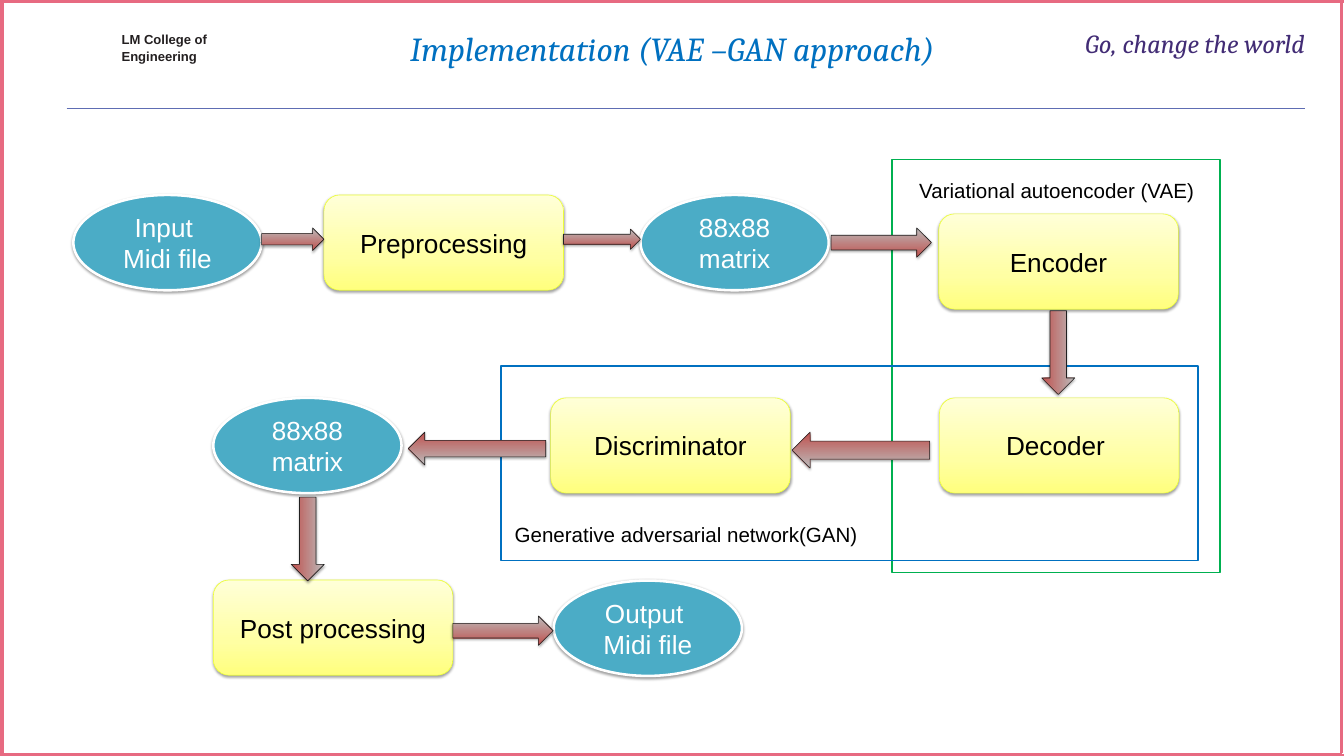
from dataclasses import dataclass

from lxml import etree
from pptx import Presentation
from pptx import util as u
from pptx.dml.color import RGBColor
from pptx.enum import shapes, text
from pptx.oxml import ns
from pptx.shapes.autoshape import Shape
from pptx.slide import Slide

# Colours
PINK = RGBColor(0xE7, 0x6A, 0x81)
BLUE = RGBColor(0x00, 0x70, 0xC0)
GREEN = RGBColor(0x00, 0xB0, 0x50)
INDIGO = RGBColor(0x5E, 0x6D, 0xB3)
PURPLE = RGBColor(0x42, 0x2C, 0x75)
CHARCOAL = RGBColor(0x23, 0x1F, 0x20)
TEAL = RGBColor(0x4B, 0xAC, 0xC6)
LIME = RGBColor(0xEB, 0xFD, 0x3A)
DARK = RGBColor(0x20, 0x20, 0x20)
BLACK = RGBColor(0, 0, 0)
WHITE = RGBColor(0xFF, 0xFF, 0xFF)
YELLOW_STOPS = ((0, RGBColor(0xFF, 0xFF, 0x7D)), (35, RGBColor(0xFF, 0xFF, 0xA3)),
                (100, RGBColor(0xFF, 0xFF, 0xD8)))
RED_STOPS = ((0, RGBColor(0xC0, 0x50, 0x4D)), (100, RGBColor(0xBB, 0xBB, 0xBB)))

OVAL = shapes.MSO_SHAPE.OVAL
BOX = shapes.MSO_SHAPE.ROUNDED_RECTANGLE
NODE_SIZE = {OVAL: (3.08, 1.56), BOX: (3.92, 1.56)}
NODE_INSETS = (0.22, 0.11, 0.22, 0.11)
LEFT, CENTER, RIGHT = text.PP_ALIGN.LEFT, text.PP_ALIGN.CENTER, text.PP_ALIGN.RIGHT


@dataclass
class Node:
    kind: shapes.MSO_SHAPE
    left: float
    top: float
    label: str


@dataclass
class Arrow:
    left: float
    top: float
    width: float
    height: float
    rotation: int = 0


@dataclass
class Frame:
    left: float
    top: float
    width: float
    height: float
    color: RGBColor


@dataclass
class Rule:
    start: tuple[float, float]
    end: tuple[float, float]
    color: RGBColor
    weight: float


@dataclass
class Label:
    box: tuple[float, float, float, float]
    words: str
    font: dict
    align: text.PP_ALIGN = LEFT
    insets: tuple[float, float, float, float] = (0, 0, 0, 0)
    spacing: float = 1.0


RULES = [
    Rule((0, 12.35), (21.99, 12.35), PINK, 1.8),
    Rule((0, 12.33), (21.95, 12.33), PINK, 1.8),
    Rule((0.03, 0.05), (0.03, 12.32), PINK, 4.43),
    Rule((0, 0.03), (21.99, 0.03), PINK, 3.7),
    Rule((21.95, 0.05), (21.95, 12.32), PINK, 4.42),
    Rule((1.09, 1.77), (21.36, 1.77), INDIGO, 1.25),
]
HEADINGS = [
    Label((0.64, 0.45, 20.72, 0.67), "Implementation (VAE –GAN approach)",
          {"name": "Cambria", "size": u.Pt(39.6), "italic": True, "color": BLUE}, CENTER),
    Label((1.99, 0.48, 1.5, 0.54), "LM College of\nEngineering",
          {"name": "Arial", "size": u.Pt(15.4), "bold": True, "color": CHARCOAL},
          insets=(0, 0.02, 0, 0), spacing=1.06),
    Label((17.33, 0.45, 4.02, 0.5), "Go, change the world",
          {"name": "Cambria", "size": u.Pt(30.8), "italic": True, "color": PURPLE}, RIGHT),
]
NODES = [
    Node(OVAL, 1.2, 3.19, "Input \nMidi file"),
    Node(BOX, 5.3, 3.19, "Preprocessing"),
    Node(OVAL, 10.48, 3.19, "88x88 matrix"),
    Node(BOX, 15.36, 3.5, "Encoder"),
    Node(BOX, 15.37, 6.51, "Decoder "),
    Node(BOX, 9.01, 6.51, "Discriminator"),
    Node(OVAL, 3.49, 6.51, "88x88 matrix"),
    Node(BOX, 3.49, 9.49, "Post processing"),
    Node(OVAL, 9.06, 9.5, "Output \nMidi file"),
]
FRAMES = [Frame(14.59, 2.61, 5.37, 6.76, GREEN), Frame(8.2, 5.99, 11.4, 3.18, BLUE)]
FRAME_FONT = {"name": "Arial", "size": u.Pt(24.2), "color": BLACK}
FRAME_LABELS = [
    Label((14.82, 2.81, 5, 0.63), "Variational autoencoder (VAE)", FRAME_FONT, insets=NODE_INSETS),
    Label((8.2, 8.43, 6.38, 0.63), "Generative adversarial network(GAN)", FRAME_FONT,
          insets=NODE_INSETS),
]
ARROWS = [
    Arrow(4.28, 3.73, 1.02, 0.37),
    Arrow(9.22, 3.75, 1.26, 0.33),
    Arrow(13.6, 3.73, 1.64, 0.48),
    Arrow(16.63, 5.5, 1.37, 0.54, 90),
    Arrow(12.96, 7.07, 2.25, 0.59, 180),
    Arrow(6.68, 7.07, 2.25, 0.54, 180),
    Arrow(4.35, 8.55, 1.37, 0.54, 90),
    Arrow(7.41, 10.08, 1.64, 0.48),
]


def write_text(shape: Shape, words: str, font: dict, align: text.PP_ALIGN,
               insets: tuple, spacing: float = 1.0) -> None:
    frame = shape.text_frame
    frame.word_wrap = True
    for side, inset in zip(("left", "top", "right", "bottom"), insets):
        setattr(frame, f"margin_{side}", u.Inches(inset))
    frame.text = words
    for paragraph in frame.paragraphs:
        paragraph.alignment = align
        paragraph.line_spacing = spacing
        for name, value in font.items():
            if name == "color":
                paragraph.runs[0].font.color.rgb = value
            else:
                setattr(paragraph.runs[0].font, name, value)


def add_shape(slide: Slide, kind: shapes.MSO_SHAPE, *box: float) -> Shape:
    shape = slide.shapes.add_shape(kind, *map(u.Inches, box))
    shape.shadow.inherit = False
    return shape


def set_line(shape: Shape, color: RGBColor, weight: float) -> None:
    shape.line.color.rgb = color
    shape.line.width = u.Pt(weight)


def set_gradient(shape: Shape, stops: tuple) -> None:
    shape.fill.gradient()
    shape.fill.gradient_angle = 90
    stop_list = shape._element.spPr.find(".//" + ns.qn("a:gsLst"))
    stop_list.clear()
    for position, color in stops:
        stop = etree.SubElement(stop_list, ns.qn("a:gs"), pos=str(position * 1000))
        etree.SubElement(stop, ns.qn("a:srgbClr"), val=str(color))


def set_shadow(shape: Shape, opacity: int, distance: float) -> None:
    effects = shape._element.spPr.find(ns.qn("a:effectLst"))
    shadow = etree.SubElement(effects, ns.qn("a:outerShdw"), blurRad=str(u.Pt(3.1)),
                              dist=str(u.Pt(distance)), dir="5400000", rotWithShape="0")
    color = etree.SubElement(shadow, ns.qn("a:srgbClr"), val=str(BLACK))
    etree.SubElement(color, ns.qn("a:alpha"), val=str(opacity * 1000))


def add_rule(slide: Slide, rule: Rule) -> None:
    line = slide.shapes.add_connector(shapes.MSO_CONNECTOR.STRAIGHT,
                                      *map(u.Inches, rule.start + rule.end))
    set_line(line, rule.color, rule.weight)
    etree.SubElement(line._element.spPr, ns.qn("a:effectLst"))


def add_label(slide: Slide, label: Label) -> None:
    box = slide.shapes.add_textbox(*map(u.Inches, label.box))
    write_text(box, label.words, label.font, label.align, label.insets, label.spacing)


def add_node(slide: Slide, node: Node) -> None:
    shape = add_shape(slide, node.kind, node.left, node.top, *NODE_SIZE[node.kind])
    if node.kind == OVAL:
        shape.fill.solid()
        shape.fill.fore_color.rgb = TEAL
        set_line(shape, WHITE, 3)
    else:
        set_gradient(shape, YELLOW_STOPS)
        set_line(shape, LIME, 0.75)
    set_shadow(shape, 37, 1.6)
    font = {"name": "Arial", "size": u.Pt(30.8), "color": WHITE if node.kind == OVAL else BLACK}
    write_text(shape, node.label, font, CENTER, NODE_INSETS)
    shape.text_frame.vertical_anchor = text.MSO_ANCHOR.MIDDLE


def add_frame(slide: Slide, frame: Frame) -> None:
    shape = add_shape(slide, shapes.MSO_SHAPE.RECTANGLE,
                      frame.left, frame.top, frame.width, frame.height)
    shape.fill.background()
    set_line(shape, frame.color, 2)


def add_arrow(slide: Slide, arrow: Arrow) -> None:
    shape = add_shape(slide, shapes.MSO_SHAPE.RIGHT_ARROW,
                      arrow.left, arrow.top, arrow.width, arrow.height)
    shape.rotation = arrow.rotation
    set_gradient(shape, RED_STOPS)
    set_line(shape, DARK, 0.75)
    set_shadow(shape, 35, 1.8)


def main() -> None:
    presentation = Presentation()
    presentation.slide_width, presentation.slide_height = u.Inches(21.99), u.Inches(12.37)
    slide = presentation.slides.add_slide(presentation.slide_layouts[6])
    # Border and header, then the flow from back to front
    for draw, items in ((add_rule, RULES), (add_label, HEADINGS), (add_node, NODES),
                        (add_frame, FRAMES), (add_label, FRAME_LABELS), (add_arrow, ARROWS)):
        for item in items:
            draw(slide, item)
    presentation.save("out.pptx")


if __name__ == "__main__":
    main()
